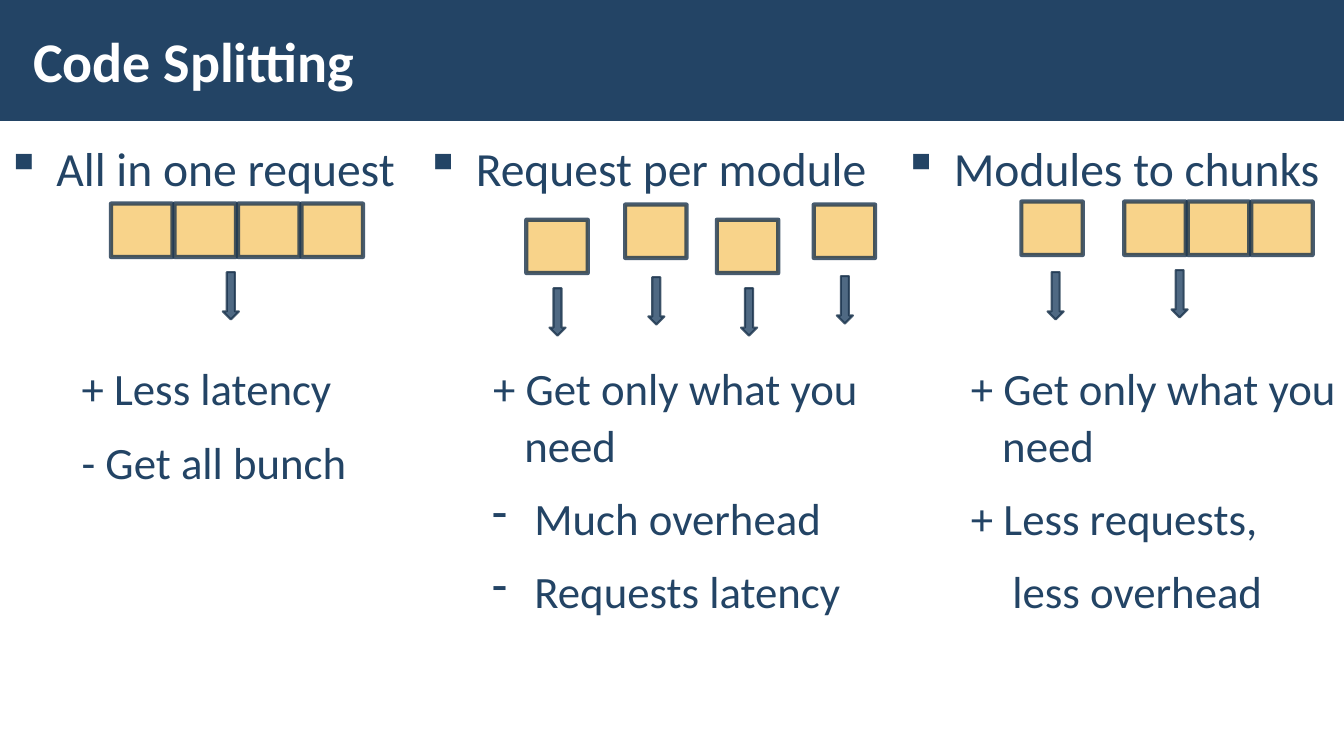
"""Build the Code Splitting slide."""
from lxml.etree import SubElement
from pptx import Presentation
from pptx.dml.color import RGBColor
from pptx.enum.shapes import MSO_SHAPE
from pptx.enum.text import MSO_ANCHOR, PP_ALIGN
from pptx.oxml.ns import qn
from pptx.util import Inches, Pt

NAVY, DARK, GOLD, WHITE = "234465", "1A334C", "F7C86D", "FFFFFF"
TITLE = "Code Splitting"
PLAIN, WRAP, DASH, UNDER = (0.67, 0, ""), (0.98, -0.31, ""), (1.08, -0.42, "-"), (1.08, 0, "")
HEAD, FIRST = (0.5, -0.5, "▪"), (0.75, 0, "")
COLUMNS = [
    {"left": -0.06, "width": 4.7, "head": "All in one request",
     "points": [("+ Less latency", FIRST), ("- Get all bunch", FIRST)],
     "boxes": [(1.1 + 0.63 * i, 2.02) for i in range(4)],
     "arrows": [(2.21, 2.7)]},
    {"left": 4.1, "width": 5.05, "head": "Request per module",
     "points": [("+ Get only what you\vneed", WRAP), ("Much overhead", DASH),
                ("Requests latency", DASH)],
     "boxes": [(5.22, 2.18), (6.2, 2.03), (7.11, 2.18), (8.07, 2.03)],
     "arrows": [(5.45, 2.86), (6.43, 2.75), (7.35, 2.86), (8.3, 2.74)]},
    {"left": 8.84, "width": 5.05, "head": "Modules to chunks",
     "points": [("+ Get only what you\vneed", WRAP), ("+ Less requests,", PLAIN),
                ("less overhead", UNDER)],
     "boxes": [(10.13, 2)] + [(11.15 + 0.63 * i, 2) for i in range(3)],
     "arrows": [(10.39, 2.7), (11.62, 2.68)]},
]


def paint(color, code):
    color.rgb = RGBColor.from_string(code)


def fade(fill):
    color = fill._xPr.find(qn("a:solidFill"))[0]
    SubElement(color, qn("a:alpha")).set("val", "80000")


def draw(slide, kind, place, fill, edge=0):
    shape = slide.shapes.add_shape(kind, *map(Inches, place))
    shape.shadow.inherit = False
    shape.fill.solid()
    paint(shape.fill.fore_color, fill)
    if edge:
        shape.line.width = Pt(edge)
        paint(shape.line.color, DARK)
        fade(shape.fill)
        fade(shape.line.fill)
    else:
        shape.line.fill.background()
    return shape


def set_font(para, size, code, bold=False):
    for run in para.runs:
        run.font.name = "Calibri"
        run.font.size = Pt(size)
        run.font.bold = bold
        paint(run.font.color, code)


def set_frame(frame):
    frame.word_wrap = True
    frame.margin_left = frame.margin_right = Inches(0.12)
    frame.margin_top = frame.margin_bottom = Inches(0.04)


def set_para(para, text, style, size, before=6):
    margin, indent, bullet = style
    para.text = text
    para.line_spacing = 1.05
    para.space_before, para.space_after = Pt(before), Pt(6)
    props = para._p.get_or_add_pPr()
    props.set("marL", str(Inches(margin)))
    props.set("indent", str(Inches(indent)))
    if bullet:
        SubElement(props, qn("a:buChar")).set("char", bullet)
    else:
        SubElement(props, qn("a:buNone"))
    set_font(para, size, NAVY)


def add_title(slide):
    title = slide.shapes.title
    bar = draw(slide, MSO_SHAPE.RECTANGLE, (0, 0, 13.33, 1.2), NAVY)
    title._element.addprevious(bar._element)
    title.left, title.top, title.width, title.height = map(Inches, (0.21, 0.11, 10.4, 0.97))
    frame = title.text_frame
    frame.text = TITLE
    set_frame(frame)
    frame.vertical_anchor = MSO_ANCHOR.MIDDLE
    frame.paragraphs[0].alignment = PP_ALIGN.LEFT
    set_font(frame.paragraphs[0], 40, WHITE, True)


def add_column(slide, col):
    place = (col["left"], 1.31, col["width"], 5.28)
    frame = slide.shapes.add_textbox(*map(Inches, place)).text_frame
    set_frame(frame)
    set_para(frame.paragraphs[0], col["head"], HEAD, 34)
    for i, (text, style) in enumerate(col["points"]):
        para = frame.add_paragraph()
        para.level = 1
        set_para(para, text, style, 32, 6 if i else 110)
    for left, top in col["boxes"]:
        draw(slide, MSO_SHAPE.RECTANGLE, (left, top, 0.61, 0.53), GOLD, 3)
    for left, top in col["arrows"]:
        draw(slide, MSO_SHAPE.DOWN_ARROW, (left, top, 0.16, 0.47), NAVY, 1.5)


def main():
    deck = Presentation()
    deck.slide_width, deck.slide_height = Inches(13.33), Inches(7.5)
    slide = deck.slides.add_slide(deck.slide_layouts[5])
    add_title(slide)
    for col in COLUMNS:
        add_column(slide, col)
    deck.save("out.pptx")


if __name__ == "__main__":
    main()
